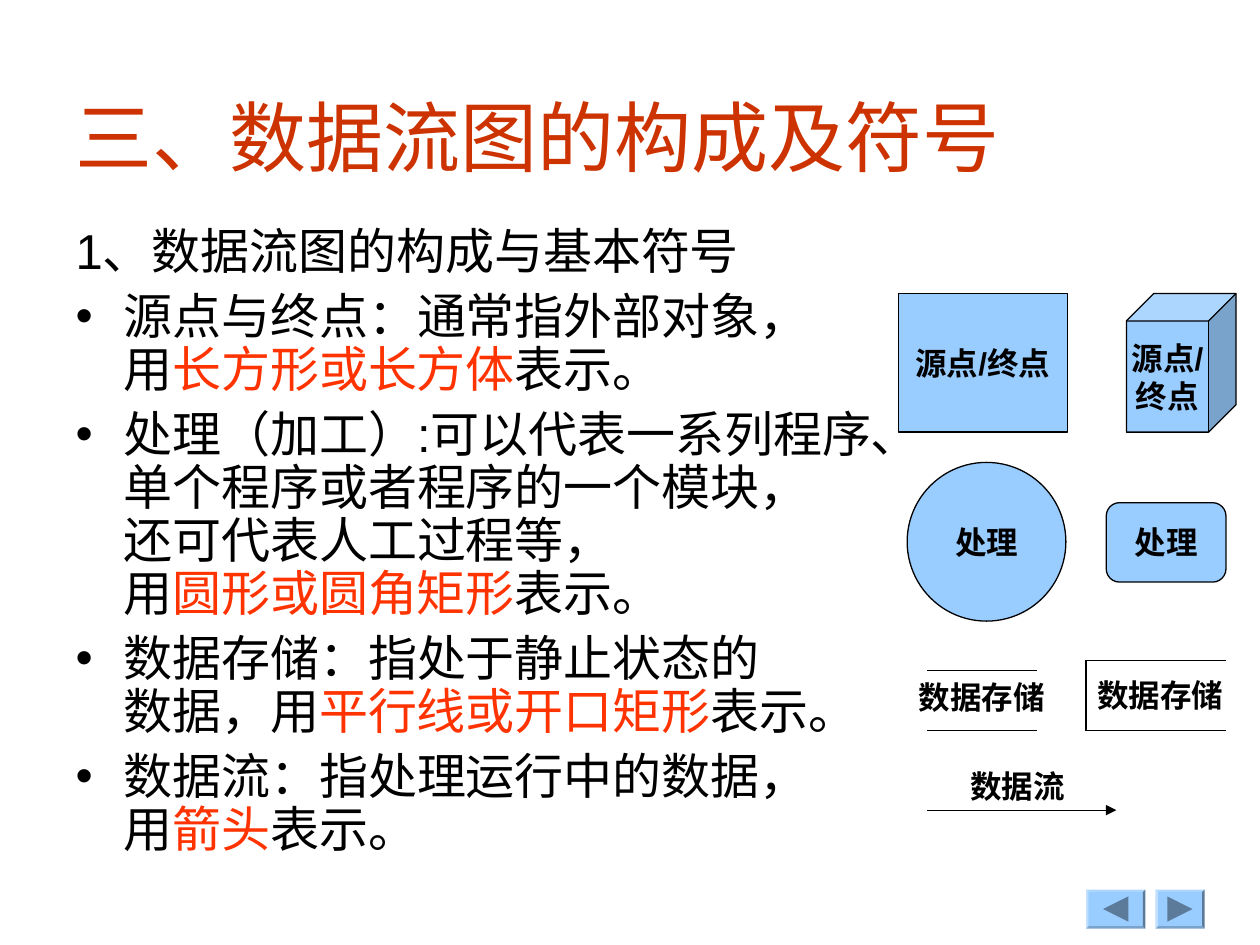
from lxml.etree import SubElement
from pptx import Presentation
from pptx.dml.color import RGBColor as RGB
from pptx.enum.shapes import MSO_CONNECTOR as Link, MSO_SHAPE as Shape
from pptx.enum.text import MSO_ANCHOR as Anchor, MSO_AUTO_SIZE as Fit, PP_ALIGN as Align
from pptx.oxml.ns import qn
from pptx.util import Inches, Pt

COLORS = {"title": "CC3300", "mark": "FF3300", "ink": "000000",
          "fill": "99CCFF", "dark": "5C7A99"}
POINTS = [
    "源点与终点：通常指外部对象，\n用|长方形或长方体|表示。",
    "处理（加工）:可以代表一系列程序、\n单个程序或者程序的一个模块，\n"
    "还可代表人工过程等，\n用|圆形或圆角矩形|表示。",
    "数据存储：指处于静止状态的\n数据，用|平行线或开口矩形|表示。",
    "数据流：指处理运行中的数据，\n用|箭头|表示。",
]


def color(name):
    """Return a palette colour."""
    return RGB.from_string(COLORS[name])


def write(para, text, size=18, bold=True, ink="ink", align=Align.CENTER):
    """Write text with line breaks; parts between bars are highlighted."""
    para.alignment = align
    for i, part in enumerate(text.split("|")):
        for j, line in enumerate(part.split("\n")):
            if j:
                para.add_line_break()
            run = para.add_run()
            run.text = line
            font = run.font
            font.name, font.size, font.bold = "Arial", Pt(size), bold
            font.color.rgb = color("mark" if i % 2 else ink)


def place(shape, left, top, width, height):
    """Move and size a shape in inches."""
    shape.left, shape.top = Inches(left), Inches(top)
    shape.width, shape.height = Inches(width), Inches(height)


def bullet(para, char=None):
    """Set a hanging indent, with or without a bullet."""
    props = para._p.get_or_add_pPr()
    props.set("marL", str(Inches(0.38)))
    props.set("indent", str(-Inches(0.38)))
    if char:
        SubElement(props, qn("a:buChar")).set("char", char)
    else:
        SubElement(props, qn("a:buNone"))


def head(title, *box):
    """Fill the title placeholder."""
    place(title, *box)
    frame = title.text_frame
    frame.auto_size, frame.vertical_anchor = Fit.NONE, Anchor.MIDDLE
    write(frame.paragraphs[0], "三、数据流图的构成及符号",
          size=44, bold=False, ink="title", align=Align.LEFT)


def body(holder, *box):
    """Fill the body placeholder with a heading and its bullets."""
    place(holder, *box)
    frame = holder.text_frame
    frame.auto_size, frame.vertical_anchor = Fit.NONE, Anchor.TOP
    for i, text in enumerate(["1、数据流图的构成与基本符号", *POINTS]):
        para = frame.add_paragraph() if i else frame.paragraphs[0]
        bullet(para, "•" if i else None)
        para.line_spacing, para.space_before = 0.9, Pt(7 if i else 0)
        write(para, text, size=28, bold=False, align=Align.LEFT)


def paint(shape, name):
    """Give a shape a flat fill without shadow or line."""
    shape.shadow.inherit = False
    shape.fill.solid()
    shape.fill.fore_color.rgb = color(name)
    shape.line.fill.background()


def node(shapes, kind, text, *box):
    """Add a filled symbol with a centred label."""
    shape = shapes.add_shape(kind, *map(Inches, box))
    paint(shape, "fill")
    shape.line.color.rgb, shape.line.width = color("ink"), Pt(0.75)
    frame = shape.text_frame
    frame.word_wrap, frame.vertical_anchor = False, Anchor.MIDDLE
    write(frame.paragraphs[0], text)


def rule(shapes, x1, y1, x2, y2, arrow=False):
    """Add a thin black line, with an arrowhead if asked."""
    line = shapes.add_connector(Link.STRAIGHT, *map(Inches, (x1, y1, x2, y2)))
    line.line.color.rgb, line.line.width = color("ink"), Pt(0.75)
    if arrow:
        SubElement(line.line._get_or_add_ln(), qn("a:tailEnd")).set("type", "triangle")
    SubElement(line._element.spPr, qn("a:effectLst"))


def label(shapes, text, *box, align=Align.CENTER):
    """Add a plain bold label without margins."""
    frame = shapes.add_textbox(*map(Inches, box)).text_frame
    frame.margin_left = frame.margin_right = 0
    frame.margin_top = frame.margin_bottom = 0
    frame.word_wrap, frame.vertical_anchor = False, Anchor.MIDDLE
    write(frame.paragraphs[0], text, align=align)


def store(slide, left, top, width, height, shift, tall, closed=False):
    """Add a data store: two parallel lines, closed on the left if asked."""
    shapes = slide.shapes.add_group_shape().shapes
    if closed:
        rule(shapes, left, top, left, top + height)
    for y in (top, top + height):
        rule(shapes, left, y, left + width, y)
    label(shapes, "数据存储", left + shift, top + 0.08, 1.04, tall)


def flow(slide, left, top, width):
    """Add a data flow arrow with its label above."""
    shapes = slide.shapes.add_group_shape().shapes
    rule(shapes, left, top, left + width, top, arrow=True)
    label(shapes, "数据流", left + 0.34, top - 0.37, 1.22, 0.36, align=Align.LEFT)


def legend(slide, left, top):
    """Add the symbols of a data flow diagram."""
    shapes = slide.shapes
    node(shapes, Shape.FLOWCHART_PROCESS, "源点/终点", left, top, 1.34, 1.1)
    node(shapes, Shape.CUBE, "源点/\n终点", left + 1.81, top, 0.87, 1.1)
    node(shapes, Shape.OVAL, "处理", left + 0.07, top + 1.34, 1.26, 1.26)
    node(shapes, Shape.FLOWCHART_ALTERNATE_PROCESS, "处理",
         left + 1.65, top + 1.66, 0.95, 0.63)
    store(slide, left + 1.49, top + 2.91, 1.11, 0.56, 0.07, 0.39, closed=True)
    store(slide, left + 0.23, top + 2.99, 0.87, 0.48, -0.09, 0.26)
    flow(slide, left + 0.23, top + 4.1, 1.5)


def button(slide, left, top, width, way):
    """Add a bevelled button with a triangle pointing back (-1) or forward (1)."""
    tall = 0.31
    base = slide.shapes.add_shape(Shape.BEVEL, *map(Inches, (left, top, width, tall)))
    base.adjustments[0] = 0.06
    paint(base, "fill")
    x, y = left + width / 2, top + tall / 2
    tip, back = x + 0.1 * way, x - 0.1 * way
    pen = slide.shapes.build_freeform(Inches(tip), Inches(y))
    pen.add_line_segments([(Inches(back), Inches(y - 0.1)),
                           (Inches(back), Inches(y + 0.1))])
    paint(pen.convert_to_shape(), "dark")


def pager(slide, left, top):
    """Add the back and forward buttons."""
    button(slide, left, top, 0.47, -1)
    button(slide, left + 0.55, top, 0.39, 1)


def main():
    """Build and save the slide."""
    deck = Presentation()
    deck.slide_width, deck.slide_height = Inches(10), Inches(7.5)
    slide = deck.slides.add_slide(deck.slide_layouts[1])
    pager(slide, 8.62, 7.06)
    head(slide.shapes.title, 0.5, 0.6, 9, 0.95)
    body(slide.placeholders[1], 0.5, 1.75, 9.15, 5.39)
    legend(slide, 7.13, 2.33)
    deck.save("out.pptx")


if __name__ == "__main__":
    main()
